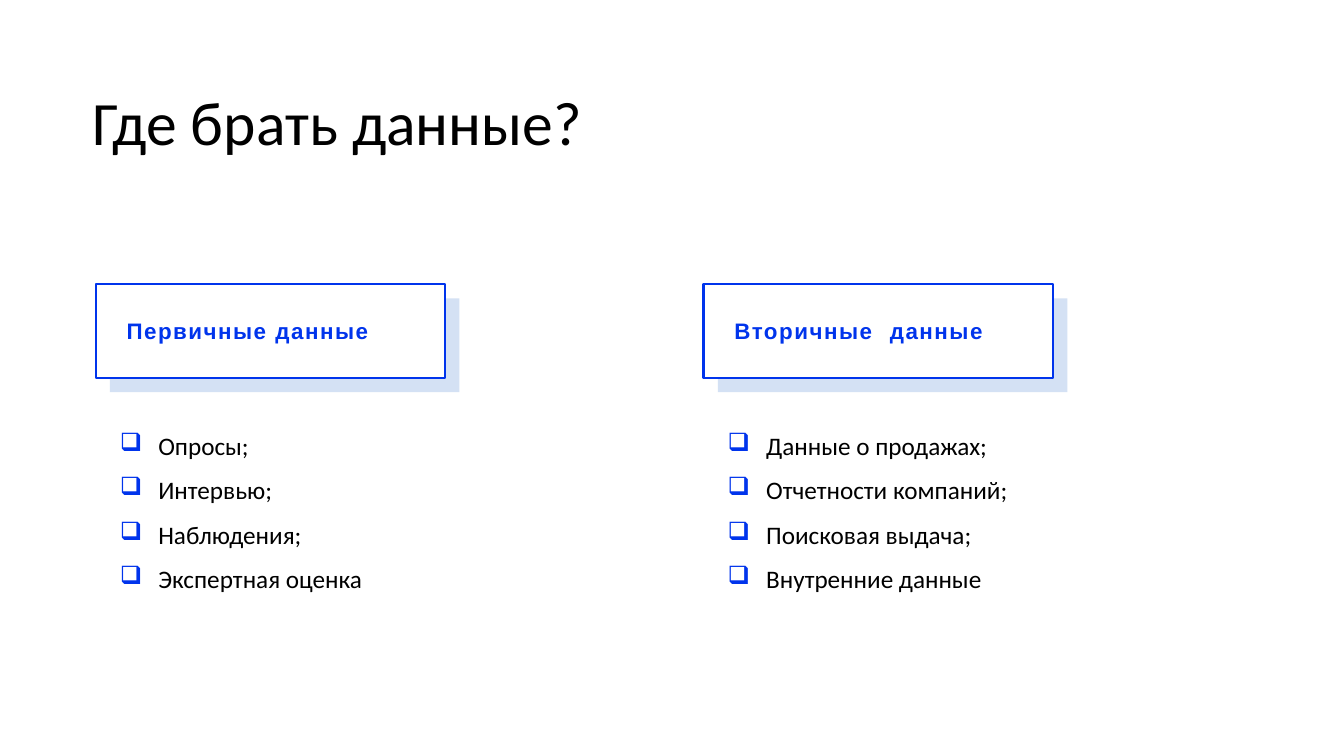
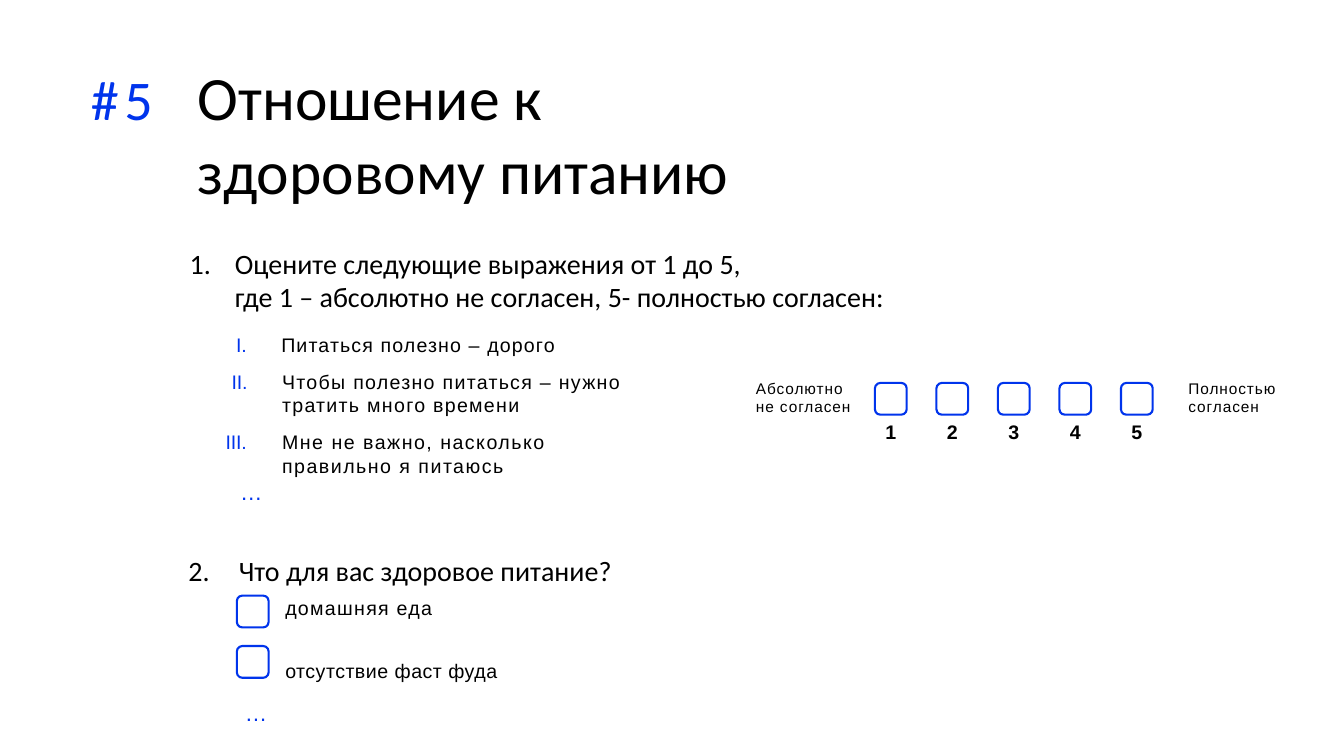
"""Build two slides on data sources and a sample questionnaire."""
from dataclasses import dataclass
from typing import Optional

from lxml.etree import SubElement
from pptx import Presentation
from pptx.dml.color import RGBColor
from pptx.enum.shapes import MSO_SHAPE as Preset
from pptx.enum.text import MSO_ANCHOR as Anchor, PP_ALIGN as Align
from pptx.oxml.ns import qn
from pptx.util import Cm, Pt

BLUE = RGBColor(0x00, 0x34, 0xEC)
PALE_BLUE = RGBColor(0xD4, 0xE1, 0xF4)
WHITE = RGBColor(0xFF, 0xFF, 0xFF)
BLACK = RGBColor(0x00, 0x00, 0x00)
HEADING_FONT = "Calibri"
BODY_FONT = "Arial"
TITLE_SIZE = 44
QUESTION_SIZE = 20
ANSWER_SIZE = 14
ELLIPSIS_SIZE = 16
CHECKBOX_SIZE = 0.8


@dataclass(frozen=True)
class Area:
    """Place on the slide, in centimetres."""
    left: float
    top: float
    width: float
    height: float


@dataclass(frozen=True)
class Span:
    """Stretch of text in one style."""
    text: str
    size: float
    font: str = BODY_FONT
    color: RGBColor = BLACK
    bold: bool = False
    spacing: float = 0


@dataclass(frozen=True)
class Bullet:
    """Bullet character or automatic numbering scheme."""
    tag: str
    attribute: str
    value: str
    color: Optional[RGBColor] = None


@dataclass(frozen=True)
class Line:
    """Paragraph with its indents in centimetres and space before in points."""
    spans: tuple[Span, ...]
    margin: float = 0
    indent: float = 0
    before: float = 0
    bullet: Optional[Bullet] = None
    tab: Optional[float] = None
    align: Align = Align.LEFT


@dataclass(frozen=True)
class Source:
    """Kind of data with its examples."""
    left: float
    heading: tuple[Span, ...]
    examples: tuple[str, ...]


CHECK_BULLET = Bullet("a:buChar", "char", "❑", BLUE)
ARABIC = Bullet("a:buAutoNum", "type", "arabicPeriod")
ROMAN = Bullet("a:buAutoNum", "type", "romanUcPeriod", BLUE)


def heading(text: str, spacing: float = 1.1) -> Span:
    """Return a span in the style of a framed heading."""
    return Span(text, 16, color=BLUE, bold=True, spacing=spacing)


def question(text: str) -> Span:
    """Return a span in the style of a question."""
    return Span(text, QUESTION_SIZE, HEADING_FONT)


def answer(text: str, spacing: float) -> Span:
    """Return a span in the style of an answer."""
    return Span(text, ANSWER_SIZE, spacing=spacing)


def numeral(text: str) -> Span:
    """Return a span in the style of a statement number."""
    return Span(text, ANSWER_SIZE, color=BLUE, spacing=-0.2)


SOURCES = (
    Source(2.41, (heading("Первичные данные"),),
           ("Опросы;", "Интервью;", "Наблюдения;", "Экспертная оценка")),
    Source(17.73, (heading("Вторичные"), heading(" ", 7), heading("данные")),
           ("Данные о продажах;", "Отчетности компаний;",
            "Поисковая выдача;", "Внутренние данные")),
)
ELLIPSIS = Span("…", ELLIPSIS_SIZE, color=BLUE)


def place(area: Area) -> tuple[Cm, Cm, Cm, Cm]:
    """Return the area as slide lengths."""
    return Cm(area.left), Cm(area.top), Cm(area.width), Cm(area.height)


def format_paragraph(para, line: Line) -> None:
    """Set indents, bullet and tab of a paragraph."""
    properties = para._p.get_or_add_pPr()
    properties.set("marL", str(Cm(line.margin)))
    properties.set("indent", str(Cm(line.indent)))
    if line.bullet:
        if line.bullet.color:
            color = SubElement(properties, qn("a:buClr"))
            SubElement(color, qn("a:srgbClr"), val=str(line.bullet.color))
        SubElement(properties, qn(line.bullet.tag),
                   {line.bullet.attribute: line.bullet.value})
    if line.tab is not None:
        tabs = SubElement(properties, qn("a:tabLst"))
        SubElement(tabs, qn("a:tab"), pos=str(Cm(line.tab)), algn="l")
    para.alignment = line.align
    para.space_before = Pt(line.before)


def write(frame, lines: tuple[Line, ...], anchor: Anchor = Anchor.TOP) -> None:
    """Fill a text frame with lines."""
    frame.word_wrap = True
    frame.vertical_anchor = anchor
    frame.margin_left = frame.margin_right = 0
    frame.margin_top = frame.margin_bottom = 0
    for index, line in enumerate(lines):
        para = frame.add_paragraph() if index else frame.paragraphs[0]
        format_paragraph(para, line)
        for span in line.spans:
            run = para.add_run()
            run.text = span.text
            run.font.size = Pt(span.size)
            run.font.name = span.font
            run.font.bold = span.bold
            run.font.color.rgb = span.color
            if span.spacing:
                run._r.get_or_add_rPr().set("spc", str(round(span.spacing * 100)))


def add_text(slide, area: Area, *lines: Line, anchor: Anchor = Anchor.TOP) -> None:
    """Add a text box."""
    box = slide.shapes.add_textbox(*place(area))
    write(box.text_frame, lines, anchor)


def add_title(slide, area: Area, line: Line) -> None:
    """Add a slide title."""
    add_text(slide, area, line, anchor=Anchor.MIDDLE)


def add_box(slide, preset: Preset, area: Area, fill: Optional[RGBColor] = None,
            outline: Optional[RGBColor] = None):
    """Add a preset shape with optional fill and outline."""
    box = slide.shapes.add_shape(preset, *place(area))
    box.shadow.inherit = False
    if fill is None:
        box.fill.background()
    else:
        box.fill.solid()
        box.fill.fore_color.rgb = fill
    if outline is None:
        box.line.fill.background()
    else:
        box.line.color.rgb = outline
        box.line.width = Pt(1.5)
    return box


def add_checkbox(slide, left: float, top: float) -> None:
    """Add an empty rounded checkbox."""
    area = Area(left, top, CHECKBOX_SIZE, CHECKBOX_SIZE)
    box = add_box(slide, Preset.ROUNDED_RECTANGLE, area, outline=BLUE)
    box.adjustments[0] = 0.17


def add_source(slide, source: Source) -> None:
    """Add a framed heading with its list of examples."""
    top, width, height, offset = 7.16, 8.81, 2.36, 0.36
    add_box(slide, Preset.RECTANGLE,
            Area(source.left + offset, top + offset, width, height), PALE_BLUE)
    frame = add_box(slide, Preset.RECTANGLE,
                    Area(source.left, top, width, height), WHITE, BLUE)
    write(frame.text_frame, (Line(source.heading, margin=0.78),), Anchor.MIDDLE)
    examples = (
        Line((Span(text, 18, HEADING_FONT),), margin=0.99, indent=-0.97,
             before=10 if index else 0, bullet=CHECK_BULLET, tab=0.99)
        for index, text in enumerate(source.examples)
    )
    add_text(slide, Area(source.left + 0.59, 10.85, 7.8, 4.2), *examples)


def build_sources(slide) -> None:
    """Build the slide on data sources."""
    title = Span("Где брать данные?", TITLE_SIZE, HEADING_FONT)
    add_title(slide, Area(2.34, 2.0, 29.21, 2.08), Line((title,)))
    for source in SOURCES:
        add_source(slide, source)


def add_scale(slide) -> None:
    """Add the agreement scale from one to five."""
    first_left, pitch, top = 22.05, 1.55, 9.65
    for number in range(1, 6):
        left = first_left + (number - 1) * pitch
        add_checkbox(slide, left, top)
        digit = Span(str(number), ANSWER_SIZE, bold=True)
        add_text(slide, Area(left, 10.57, CHECKBOX_SIZE, 0.66),
                 Line((digit,), align=Align.CENTER))
    for left, text in ((19.05, "Абсолютно не согласен"),
                       (29.95, "Полностью согласен")):
        add_text(slide, Area(left, 9.55, 2.45, 1.02),
                 Line((Span(text, 11, spacing=0.65),)))


def build_questionnaire(slide) -> None:
    """Build the slide with sample questions."""
    number = Span("#5\t", 40, HEADING_FONT, BLUE, spacing=4.2)
    title = Span("Отношение к здоровому питанию", TITLE_SIZE, HEADING_FONT)
    add_title(slide, Area(2.24, 1.45, 18.69, 3.81),
              Line((number, title), margin=2.74, indent=-2.69, tab=2.74))
    add_text(
        slide, Area(4.75, 6.2, 19.43, 2.84),
        Line((question("Оцените следующие выражения от 1 до 5,"),),
             margin=1.17, indent=-1.14, bullet=ARABIC, tab=1.17),
        Line((question("где 1 – абсолютно не согласен, 5- полностью согласен:"),),
             margin=1.17),
        Line((answer("Питаться полезно – дорого", 0.8),),
             margin=2.34, indent=-1.14, before=14.4, bullet=ROMAN, tab=2.34),
    )
    add_text(
        slide, Area(5.64, 9.32, 11.02, 2.8),
        Line((numeral("II.\t"),
              answer("Чтобы полезно питаться – нужно тратить много времени", 0.9)),
             margin=1.47, indent=-1.27, tab=1.47),
        Line((numeral("III.\t"),
              answer("Мне не важно, насколько правильно я питаюсь", 1.05)),
             margin=1.47, indent=-1.42, before=9.5, tab=1.47),
    )
    add_scale(slide)
    for row in range(2):
        add_checkbox(slide, 5.97, 15.01 + row * 1.27)
    add_text(
        slide, Area(4.75, 12.04, 12.47, 6.25),
        Line((ELLIPSIS,), margin=1.3),
        Line((question("2.\tЧто для вас здоровое питание?"),),
             before=35, tab=1.17),
        Line((answer("домашняя еда", 0.9),), margin=2.44, before=6.2),
        Line((answer("отсутствие фаст фуда", 0.35),), margin=2.44, before=28),
        Line((ELLIPSIS,), margin=1.42, before=12.2),
    )


def main() -> None:
    """Build and save the deck."""
    deck = Presentation()
    deck.slide_width, deck.slide_height = Cm(33.87), Cm(19.05)
    for build in (build_sources, build_questionnaire):
        build(deck.slides.add_slide(deck.slide_layouts[6]))
    deck.save("out.pptx")


if __name__ == "__main__":
    main()
